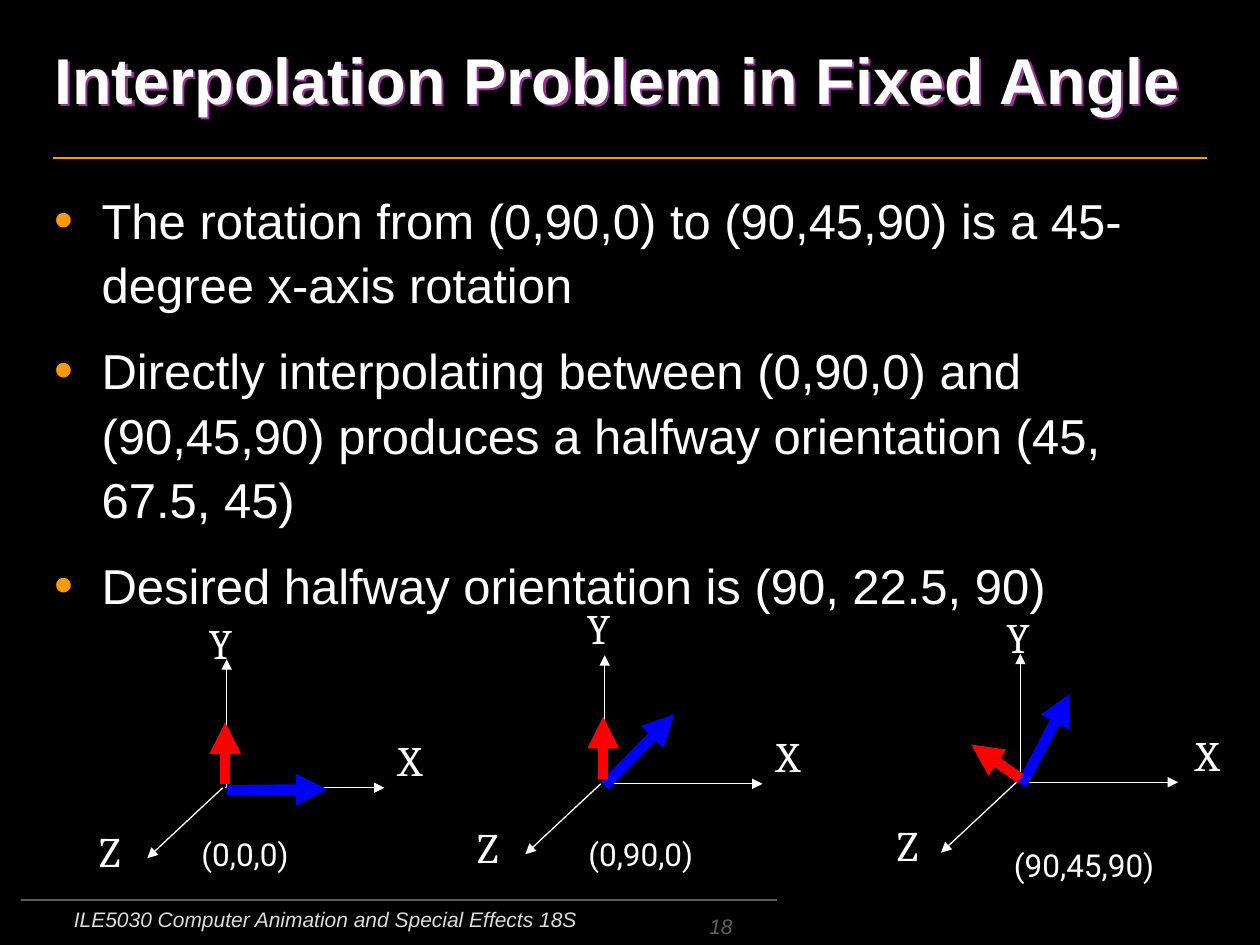
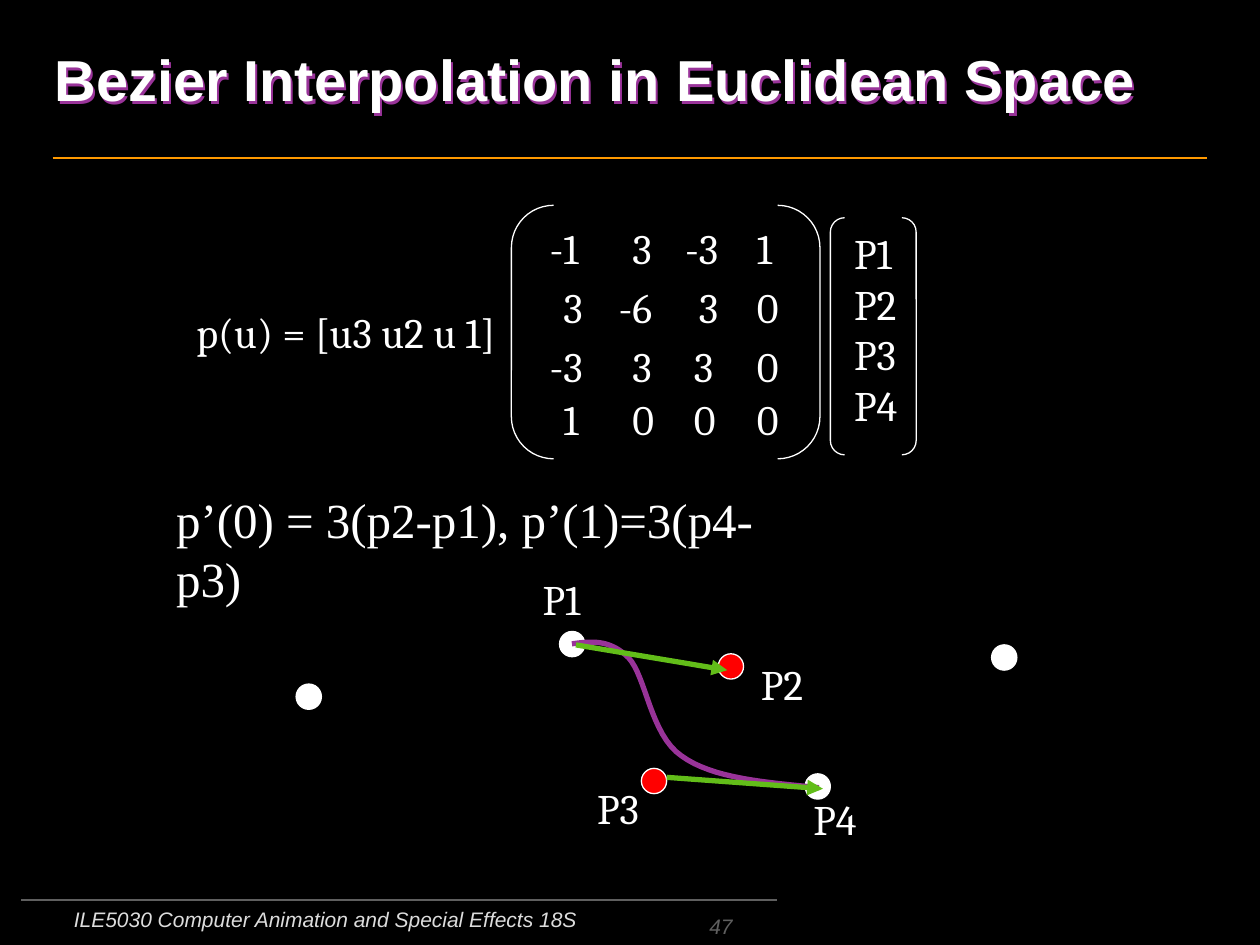
import pptx
import pptx.dml.color
import pptx.enum.shapes
import pptx.enum.text
import pptx.oxml
import pptx.oxml.ns
import pptx.util
from lxml import etree

Cm, Pt = pptx.util.Cm, pptx.util.Pt
SHAPE = pptx.enum.shapes.MSO_SHAPE
ANCHOR = pptx.enum.text.MSO_ANCHOR
ALIGN = pptx.enum.text.PP_ALIGN
qn = pptx.oxml.ns.qn

COLORS = {
    "background": "000000", "text": "FFFFFF", "orange": "FF9900",
    "gray": "5F5F5F", "footer": "DDDDDD", "red": "FF0000",
    "blue": "0000FF", "purple": "993399", "green": "62BD19",
}
FOOTER = "ILE5030 Computer Animation and Special Effects 18S"

# ---- Fixed angle slide (lengths in cm)
ANGLE_BULLETS = [
    "The rotation from (0,90,0) to (90,45,90) is a 45-degree x-axis rotation",
    "Directly interpolating between (0,90,0) and (90,45,90) produces a "
    "halfway orientation (45, 67.5, 45)",
    "Desired halfway orientation is (90, 22.5, 90)",
]
# Start, end and label corner of each axis, relative to the origin
AXES = {
    "Y": ((0, 0), (0, -2.59), (-0.61, -3.56)),
    "X": ((-0.03, 0), (3.18, 0), (3.2, -1.19)),
    "Z": ((-0.08, 0), (-1.6, 1.42), (-2.82, 0.63)),
}
LABEL_WIDTHS = {"Y": 1.12, "X": 1.12, "Z": 1.02}
FRAMES = [
    {"origin": (4.57, 15.88), "shift": 0, "lift": 0,
     "blue": ((0, 0.05), (2.03, 0.03)), "red": ((-0.03, -0.08), (-0.03, -1.32)),
     "caption": ("(0,0,0)", 3.81, 16.71, 2.44)},
    {"origin": (12.19, 15.8), "shift": 0, "lift": 0.22,
     "blue": ((0, 0.03), (1.4, -1.4)), "red": ((-0.03, -0.1), (-0.03, -1.35)),
     "caption": ("(0,90,0)", 11.61, 16.71, 2.77)},
    {"origin": (20.57, 15.77), "shift": 0.08, "lift": 0,
     "blue": ((0.03, 0.05), (0.99, -1.78)), "red": ((0, -0.08), (-0.99, -0.76)),
     "caption": ("(90,45,90)", 20.19, 16.94, 3.48)},
]

# ---- Bezier slide
MATRIX = [
    ["-1", "3", "-3", "1"],
    ["3", "-6", "3", "0"],
    ["-3", "3", "3", "0"],
    ["1", "0", "0", "0"],
]
ROW_TOPS = [4.37, 5.56, 6.73, 7.8]
COLUMN_RIGHTS = [12.05, 13.44, 14.78, 15.95]
BRACKETS = [(10.31, 4.14, 6.22, 5.11), (16.74, 4.39, 1.73, 4.78)]
DOT_SIZE = 0.51
DOTS = [
    ("text", 5.97, 13.79), ("text", 11.28, 12.73), ("text", 16.23, 15.6),
    ("text", 19.99, 13), ("red", 14.48, 13.18), ("red", 12.93, 15.49),
]
POINT_LABELS = {"P1": (10.69, 11.43), "P2": (15.09, 13.16),
                "P3": (11.79, 15.65), "P4": (16.15, 15.88)}
TANGENTS = [((13.44, 15.67), (16.59, 15.9)), ((11.61, 13), (14.66, 13.51))]
CURVE_CONTROLS = [
    (11.53, 12.98), (11.91, 12.93), (12.29, 12.88), (12.67, 13.26),
    (13.03, 13.64), (13.11, 14.81), (13.74, 15.24),
    (14.38, 15.7), (15.44, 15.77), (16.51, 15.88),
]
CURVE_STEPS = 16


def rgb(name):
    return pptx.dml.color.RGBColor.from_string(COLORS[name])


def add_bullet(p):
    pPr = p._p.get_or_add_pPr()
    pPr.set("marL", str(Cm(0.95)))
    pPr.set("indent", str(-Cm(0.95)))
    color = etree.SubElement(pPr, qn("a:buClr"))
    etree.SubElement(color, qn("a:srgbClr"), val=COLORS["orange"])
    etree.SubElement(pPr, qn("a:buSzPct"), val="110000")
    etree.SubElement(pPr, qn("a:buFont"), typeface="Arial")
    etree.SubElement(pPr, qn("a:buChar"), char="•")


def add_text(s, text, left, top, width, height=1.27, size=24, font="Cambria",
             color="text", bold=False, italic=False, align=ALIGN.LEFT,
             anchor=ANCHOR.TOP, wrap=False, bullets=False):
    """Add a text box; a list of strings makes one paragraph each."""
    sp = s.shapes.add_textbox(Cm(left), Cm(top), Cm(width), Cm(height))
    tf = sp.text_frame
    tf.word_wrap = wrap
    tf.vertical_anchor = anchor
    for i, line in enumerate([text] if isinstance(text, str) else text):
        p = tf.paragraphs[0] if i == 0 else tf.add_paragraph()
        if bullets:
            add_bullet(p)
            p.line_spacing = 1.1
            p.space_before = Pt(6 if i else 0)
            p.space_after = Pt(6)
        p.alignment = align
        r = p.add_run()
        r.text = line
        r.font.name, r.font.size = font, Pt(size)
        r.font.bold, r.font.italic = bold, italic
        r.font.color.rgb = rgb(color)
    return sp


def add_line(s, start, end, color="text", width=0.75, arrow=True):
    line = s.shapes.add_connector(pptx.enum.shapes.MSO_CONNECTOR.STRAIGHT,
                                  *(Cm(v) for v in (*start, *end)))
    line.line.color.rgb = rgb(color)
    line.line.width = Pt(width)
    if arrow:
        etree.SubElement(line.line._get_or_add_ln(), qn("a:tailEnd"), type="triangle")
    etree.SubElement(line._element.spPr, qn("a:effectLst"))


def add_shape(s, kind, left, top, width, height, fill=None):
    sp = s.shapes.add_shape(kind, Cm(left), Cm(top), Cm(width), Cm(height))
    sp.shadow.inherit = False
    if fill:
        sp.fill.solid()
        sp.fill.fore_color.rgb = rgb(fill)
    else:
        sp.fill.background()
    sp.line.color.rgb = rgb("text")
    sp.line.width = Pt(0.75)
    return sp


def add_title(s, title, size):
    sp = add_text(s, title, 0.85, 0, 23.5, 3.18, size=size, font="Arial",
                  bold=True, anchor=ANCHOR.MIDDLE, wrap=True)
    effects = etree.SubElement(sp._element.spPr, qn("a:effectLst"))
    shadow = etree.SubElement(effects, qn("a:outerShdw"), dist=str(Cm(0.06)),
                              dir="2700000", algn="ctr", rotWithShape="0")
    etree.SubElement(shadow, qn("a:srgbClr"), val=COLORS["purple"])


def new_slide(prs, title, number, title_size):
    """Add a slide with the shared background, rules, footer and title."""
    s = prs.slides.add_slide(prs.slide_layouts[6])
    s.background.fill.solid()
    s.background.fill.fore_color.rgb = rgb("background")
    add_line(s, (1.06, 3.18), (24.34, 3.18), "orange", 1, arrow=False)
    add_line(s, (0.42, 18.15), (15.66, 18.15), "gray", 1, arrow=False)
    add_text(s, str(number), 9.1, 18.36, 5.92, 0.69, size=12, font="Arial",
             color="gray", italic=True, align=ALIGN.RIGHT,
             anchor=ANCHOR.BOTTOM, wrap=True)
    add_text(s, FOOTER, 0.64, 18.15, 11.85, 0.89, size=12, font="Arial",
             color="footer", italic=True, align=ALIGN.CENTER, wrap=True)
    add_title(s, title, title_size)
    return s


def add_frame(s, frame):
    """Draw the three axes, the two rotated vectors and the caption."""
    x, y = frame["origin"]

    def move(point):
        return x + point[0], y + point[1]

    for name, (start, end, corner) in AXES.items():
        add_line(s, move(start), move(end))
        left, top = move(corner)
        if name == "Y":
            top -= frame["lift"]
        add_text(s, name, left + frame["shift"], top, LABEL_WIDTHS[name])
    for color in ("blue", "red"):
        start, end = frame[color]
        add_line(s, move(start), move(end), color, 6)
    text, left, top, width = frame["caption"]
    add_text(s, text, left, top, width, 1.02, size=18, font="Roboto")


def bezier(controls, t):
    weights = ((1 - t) ** 3, 3 * t * (1 - t) ** 2, 3 * t ** 2 * (1 - t), t ** 3)
    return tuple(Cm(sum(w * c[axis] for w, c in zip(weights, controls)))
                 for axis in (0, 1))


def add_curve(s):
    points = [bezier(CURVE_CONTROLS[i:i + 4], step / CURVE_STEPS)
              for i in range(0, len(CURVE_CONTROLS) - 1, 3)
              for step in range(CURVE_STEPS + 1)]
    builder = s.shapes.build_freeform(*points[0])
    builder.add_line_segments(points[1:], close=False)
    curve = builder.convert_to_shape()
    curve.shadow.inherit = False
    curve.fill.background()
    curve.line.color.rgb = rgb("purple")
    curve.line.width = Pt(3)


def add_matrix(s):
    for row, (top, values) in enumerate(zip(ROW_TOPS, MATRIX)):
        for column, (right, value) in enumerate(zip(COLUMN_RIGHTS, values)):
            width = 1.22 if value.startswith("-") else 0.94
            nudge = 0.1 if column == 2 and row >= 2 else 0
            add_text(s, value, right - width - nudge, top, width)
    for box in BRACKETS:
        add_shape(s, SHAPE.DOUBLE_BRACKET, *box)


def build_fixed_angle(prs):
    s = new_slide(prs, "Interpolation Problem in Fixed Angle", 18, 37)
    add_text(s, ANGLE_BULLETS, 0.85, 3.59, 22.86, 12.82, size=28, font="Arial",
             wrap=True, bullets=True)
    for frame in FRAMES:
        add_frame(s, frame)


def build_bezier(prs):
    s = new_slide(prs, "Bezier Interpolation in Euclidean Space", 47, 33)
    for color, left, top in DOTS:
        add_shape(s, SHAPE.OVAL, left, top, DOT_SIZE, DOT_SIZE, color)
    add_curve(s)
    for start, end in TANGENTS:
        add_line(s, start, end, "green", 3)
    for name, (left, top) in POINT_LABELS.items():
        add_text(s, name, left, top, 1.4)
    add_text(s, "p’(0) = 3(p2-p1), p’(1)=3(p4-p3)", 3.3, 9.75, 13.41, 1.45,
             size=28, font="Times New Roman", wrap=True)
    add_text(s, "p(u) = [u3 u2 u 1]", 3.71, 6.05, 6.55)
    add_text(s, "P1 P2 P3 P4", 16.97, 4.47, 1.85, 4.32, wrap=True)
    add_matrix(s)


def main():
    prs = pptx.Presentation()
    prs.slide_width, prs.slide_height = Cm(25.4), Cm(19.05)
    build_fixed_angle(prs)
    build_bezier(prs)
    prs.save("out.pptx")


if __name__ == "__main__":
    main()
